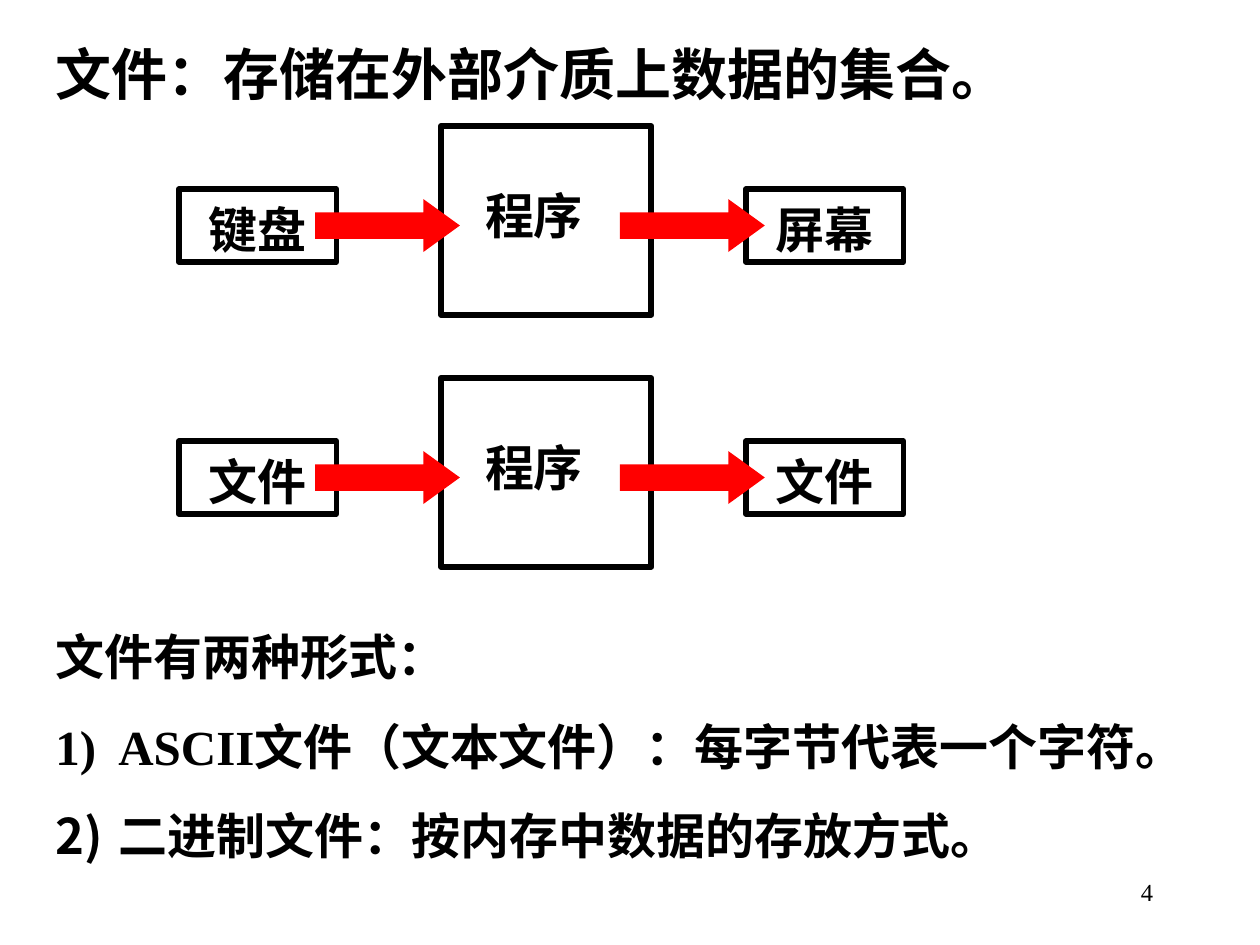
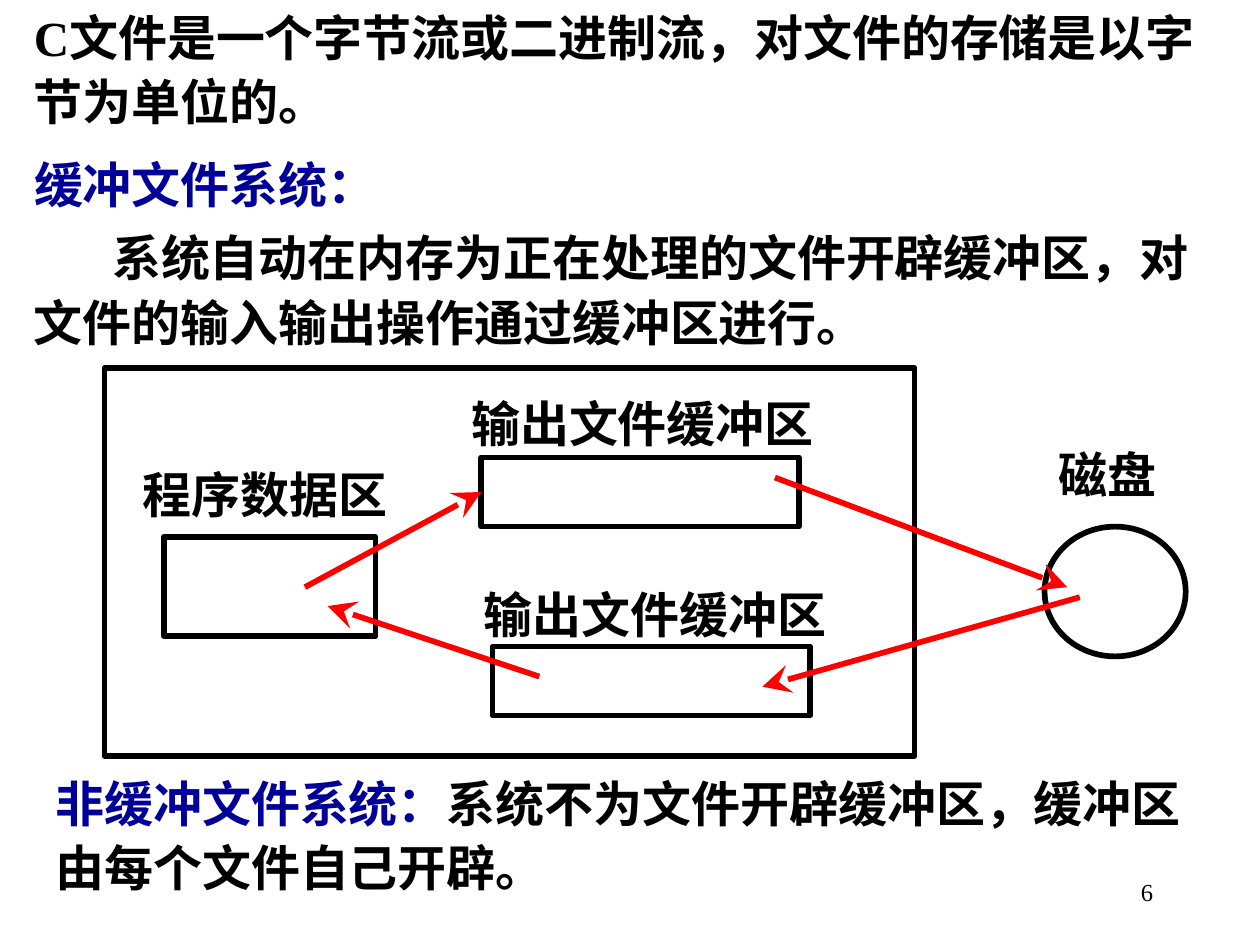
from dataclasses import dataclass
from typing import Optional

from lxml.etree import SubElement
from pptx import Presentation
from pptx.dml.color import RGBColor
from pptx.enum.shapes import MSO_CONNECTOR as Connector, MSO_SHAPE as Preset
from pptx.enum.text import MSO_ANCHOR as Anchor, MSO_AUTO_SIZE as AutoSize, PP_ALIGN as Align
from pptx.oxml.ns import qn
from pptx.util import Inches, Pt

COLORS = {"ink": "000000", "term": "000099", "flow": "FF0000"}
FONT = "Times New Roman"
STROKE = Pt(3.25)
BODY_SIZE = 28


@dataclass(frozen=True)
class Box:
    left: float
    top: float
    width: float
    height: float

    def lengths(self) -> tuple:
        return tuple(Inches(v) for v in (self.left, self.top, self.width, self.height))


@dataclass(frozen=True)
class Span:
    text: str
    color: str = "ink"


@dataclass(frozen=True)
class Line:
    spans: tuple
    align: Align = Align.LEFT
    margin: float = 0
    indent: float = 0
    numbered: bool = False


@dataclass(frozen=True)
class Flow:
    start: tuple
    end: tuple
    target: Optional[str] = None


@dataclass(frozen=True)
class Pipeline:
    top: float
    source: str
    sink: str


PIPELINES = (Pipeline(1, "键盘", "屏幕"), Pipeline(3, "文件", "文件"))
FILE_FORMS = ("ASCII文件（文本文件）：每字节代表一个字符。", "二进制文件：按内存中数据的存放方式。")
MEMORY_AREAS = {
    "memory": Box(0.83, 2.92, 6.43, 3.08),
    "program": Box(1.3, 4.26, 1.68, 0.79),
    "upper buffer": Box(3.82, 3.63, 2.52, 0.55),
    "lower buffer": Box(3.91, 5.13, 2.52, 0.55),
}
DISK = Box(8.29, 4.18, 1.12, 1.03)
AREA_LABELS = (
    ("程序数据区", Box(1.11, 3.63, 2.05, 0.54)),
    ("输出文件缓冲区", Box(3.72, 3.07, 2.8, 0.54)),
    ("输出文件缓冲区", Box(3.82, 4.58, 2.8, 0.54)),
    ("磁盘", Box(8.38, 3.47, 1.12, 0.54)),
)
FLOWS = (
    Flow((2.42, 4.66), (3.82, 3.87), "upper buffer"),
    Flow((6.15, 3.79), (8.47, 4.66)),
    Flow((8.57, 4.74), (6.05, 5.45)),
    Flow((4.28, 5.37), (2.6, 4.81)),
)


def rgb(name: str) -> RGBColor:
    return RGBColor.from_string(COLORS[name])


def add_span(paragraph, span: Span, size: float, bold: bool = True) -> None:
    run = paragraph.add_run()
    run.text = span.text
    run.font.name, run.font.size, run.font.bold = FONT, Pt(size), bold
    run.font.color.rgb = rgb(span.color)


def write_lines(frame, lines: tuple, size: float = BODY_SIZE, anchor: Anchor = Anchor.TOP) -> None:
    frame.word_wrap = True
    frame.auto_size = AutoSize.SHAPE_TO_FIT_TEXT
    frame.vertical_anchor = anchor
    frame.margin_left = frame.margin_right = Inches(0.02)
    frame.margin_top = frame.margin_bottom = Inches(0.01)
    for index, line in enumerate(lines):
        paragraph = frame.add_paragraph() if index else frame.paragraphs[0]
        paragraph.alignment, paragraph.line_spacing = line.align, 1.1
        paragraph.space_before = Pt(size / 2 if index else 0)
        properties = paragraph._p.get_or_add_pPr()
        properties.set("marL", str(Inches(line.margin)))
        properties.set("indent", str(Inches(line.indent)))
        if line.numbered:
            SubElement(properties, qn("a:buFontTx"))
            SubElement(properties, qn("a:buAutoNum"), type="arabicParenR")
        for span in line.spans:
            add_span(paragraph, span, size)


def add_text(slide, box: Box, *lines: Line) -> None:
    write_lines(slide.shapes.add_textbox(*box.lengths()).text_frame, lines)


def set_title(slide, box: Box, span: Span, size: float) -> None:
    title = slide.shapes.title
    title.left, title.top, title.width, title.height = box.lengths()
    write_lines(title.text_frame, (Line((span,)),), size)


def add_outline(slide, box: Box, preset: Preset = Preset.RECTANGLE, label: str = ""):
    outline = slide.shapes.add_shape(preset, *box.lengths())
    outline.shadow.inherit = False
    outline.fill.background()
    outline.line.color.rgb, outline.line.width = rgb("ink"), STROKE
    if label:
        write_lines(outline.text_frame, (Line((Span(label),), Align.CENTER),), anchor=Anchor.MIDDLE)
    return outline


def add_block_arrow(slide, box: Box) -> None:
    arrow = slide.shapes.add_shape(Preset.RIGHT_ARROW, *box.lengths())
    arrow.adjustments[0], arrow.adjustments[1] = 0.5, 0.69
    arrow.shadow.inherit = False
    arrow.fill.solid()
    arrow.fill.fore_color.rgb = rgb("flow")
    arrow.line.fill.background()


def add_pipeline(slide, pipeline: Pipeline) -> None:
    add_outline(slide, Box(3.5, pipeline.top, 1.67, 1.5))
    add_text(slide, Box(3.83, pipeline.top + 0.42, 0.94, 0.54), Line((Span("程序"),)))
    for left, device in ((1.42, pipeline.source), (5.92, pipeline.sink)):
        add_outline(slide, Box(left, pipeline.top + 0.5, 1.25, 0.58), label=device)
    for left in (2.5, 4.92):
        add_block_arrow(slide, Box(left, pipeline.top + 0.58, 1.15, 0.42))


def add_flow(slide, flow: Flow, areas: dict) -> None:
    ends = (Inches(v) for v in flow.start + flow.end)
    connector = slide.shapes.add_connector(Connector.STRAIGHT, *ends)
    if flow.target:
        connector.end_connect(areas[flow.target], 1)
    connector.line.color.rgb, connector.line.width = rgb("flow"), STROKE
    SubElement(connector.line._get_or_add_ln(), qn("a:tailEnd"), type="stealth", w="lg", len="lg")
    SubElement(connector._element.spPr, qn("a:effectLst"))


def add_page_number(slide, number: int) -> None:
    frame = slide.shapes.add_textbox(*Box(7.17, 6.83, 2.08, 0.5).lengths()).text_frame
    frame.word_wrap = True
    frame.vertical_anchor = Anchor.MIDDLE
    frame.paragraphs[0].alignment = Align.RIGHT
    add_span(frame.paragraphs[0], Span(str(number)), 14, bold=False)


def add_titled_slide(deck, number: int, box: Box, heading: Span, size: float):
    slide = deck.slides.add_slide(deck.slide_layouts[5])
    set_title(slide, box, heading, size)
    add_page_number(slide, number)
    return slide


def build_file_concept(deck) -> None:
    heading = Span("文件：存储在外部介质上数据的集合。")
    slide = add_titled_slide(deck, 4, Box(0.42, 0.25, 8.92, 0.61), heading, 32)
    for pipeline in PIPELINES:
        add_pipeline(slide, pipeline)
    forms = (Line((Span(form),), margin=0.5, indent=-0.5, numbered=True) for form in FILE_FORMS)
    intro = Line((Span("文件有两种形式："),), margin=0.5, indent=-0.5)
    add_text(slide, Box(0.42, 4.92, 9.17, 2.03), intro, *forms)


def build_buffered_system(deck) -> None:
    heading = Span("缓冲文件系统：", "term")
    slide = add_titled_slide(deck, 6, Box(0.25, 1.17, 5.13, 0.54), heading, BODY_SIZE)
    stream = Span("C文件是一个字节流或二进制流，对文件的存储是以字节为单位的。")
    add_text(slide, Box(0.25, 0, 9.33, 1.05), Line((stream,)))
    buffering = Span("系统自动在内存为正在处理的文件开辟缓冲区，对文件的输入输出操作通过缓冲区进行。")
    add_text(slide, Box(0.25, 1.75, 9.33, 1.05), Line((buffering,), indent=0.62))
    areas = {name: add_outline(slide, box) for name, box in MEMORY_AREAS.items()}
    add_outline(slide, DISK, Preset.OVAL)
    for label, box in AREA_LABELS:
        add_text(slide, box, Line((Span(label),)))
    for flow in FLOWS:
        add_flow(slide, flow, areas)
    unbuffered = (
        Span("非缓冲文件系统：", "term"),
        Span("系统不为文件开辟缓冲区，缓冲区由每个文件自己开辟。"),
    )
    add_text(slide, Box(0.42, 6.08, 9, 1.05), Line(unbuffered))


def main() -> None:
    """Build the two slides on C files and file buffering."""
    deck = Presentation()
    deck.slide_width, deck.slide_height = Inches(10), Inches(7.5)
    build_file_concept(deck)
    build_buffered_system(deck)
    deck.save("out.pptx")


if __name__ == "__main__":
    main()
